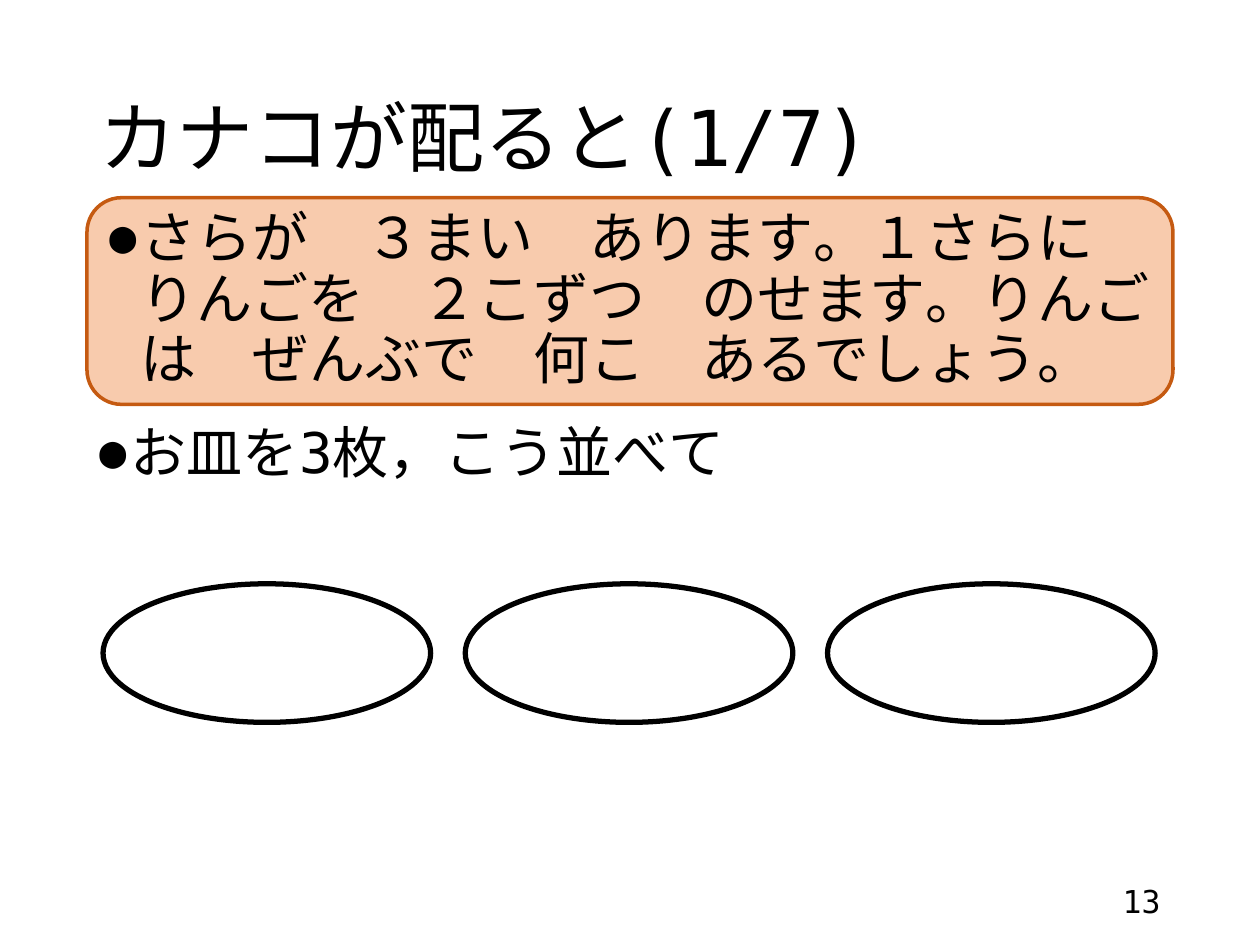
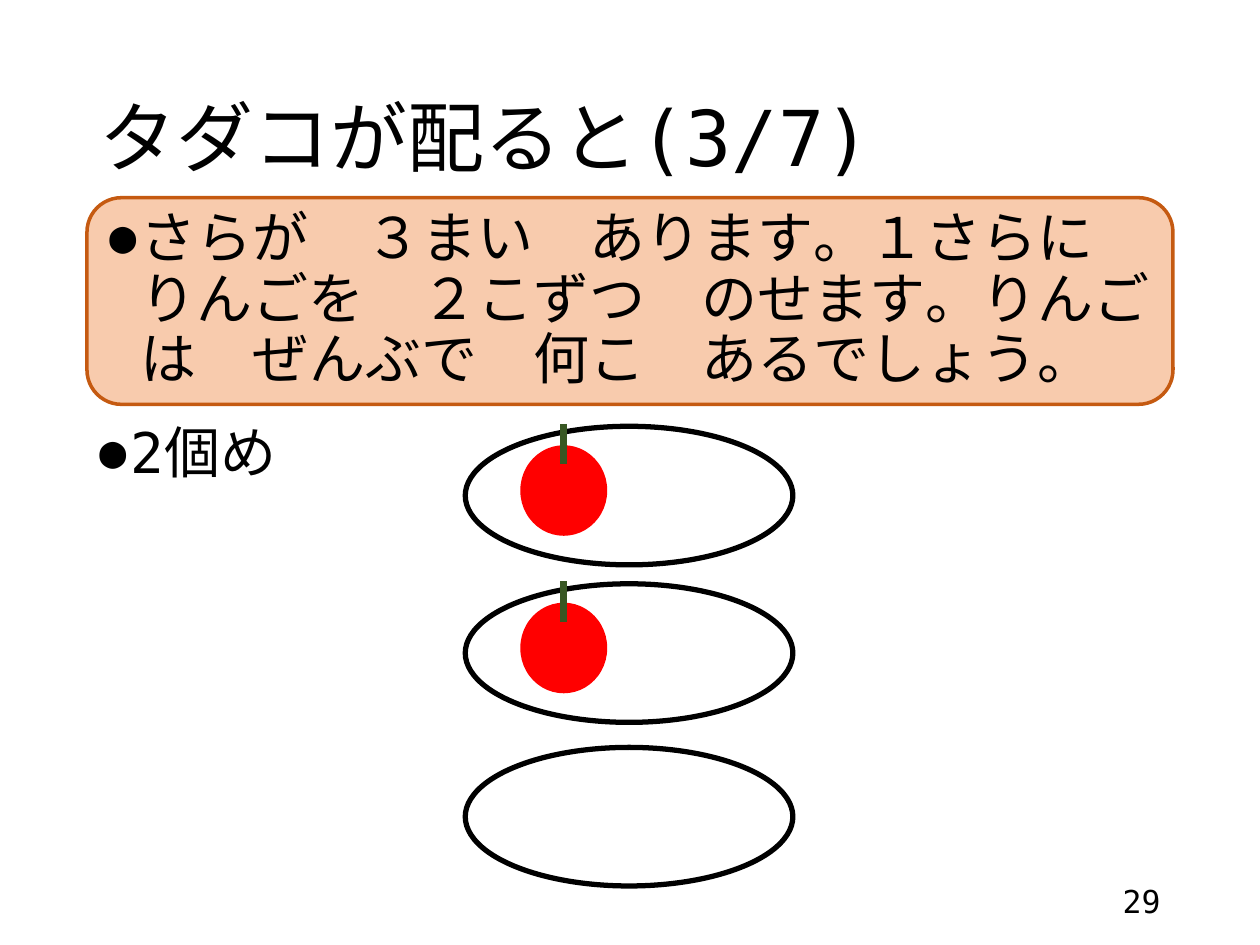
from dataclasses import dataclass

from lxml import etree
from pptx import Presentation
from pptx.dml.color import RGBColor
from pptx.enum import lang, shapes, text
from pptx.oxml import ns
from pptx.util import Pt


@dataclass(frozen=True)
class Theme:
    font: str = "DejaVu Sans Mono"
    ink: str = "000000"
    plate: str = "FFFFFF"
    box_fill: str = "F8CBAD"
    box_line: str = "C55A11"
    apple: str = "FF0000"
    stem: str = "385723"
    title_size: int = 44
    body_size: int = 32
    number_size: int = 18


T = Theme()
SHAPE = shapes.MSO_SHAPE
ALIGN = text.PP_ALIGN
ANCHOR = text.MSO_ANCHOR

# Shared layout, in points: left, top, width, height
TITLE_AT = (49.7, 28.8, 620.6, 104.4)
PROBLEM_AT = (49.7, 113, 620.6, 118.1)
BODY_AT = (49.7, 239.3, 620.6, 247)
NUMBER_AT = (508.3, 500.4, 162, 28.8)
PLATE_SIZE = (187.2, 79.2)
PLATE_LEFT, PLATE_STEP = 58.9, 207
PLATE_ROWS = (243.6, 333.6, 427.1)
PROBLEM = ("さらが　３まい　あります。１さらに　りんごを　２こずつ　のせます。"
           "りんごは　ぜんぶで　何こ　あるでしょう。")


def color(value):
    return RGBColor.from_string(value)


def pts(values):
    return [Pt(v) for v in values]


def set_attrs(obj, values):
    for name, value in values.items():
        setattr(obj, name, value)


def add_bullet(p):
    pPr = p._p.get_or_add_pPr()
    pPr.set("marL", str(Pt(18)))
    pPr.set("indent", str(Pt(-18)))
    for tag, name, value in (("a:buSzPct", "val", "80000"),
                             ("a:buFont", "typeface", T.font),
                             ("a:buChar", "char", "●")):
        etree.SubElement(pPr, ns.qn(tag)).set(name, value)


def write(sp, words, size, anchor=ANCHOR.MIDDLE, align=ALIGN.LEFT,
          spacing=0.9, bullet=False):
    tf = sp.text_frame
    set_attrs(tf, {"word_wrap": True, "vertical_anchor": anchor,
                   "auto_size": text.MSO_AUTO_SIZE.NONE})
    p = tf.paragraphs[0]
    set_attrs(p, {"alignment": align, "line_spacing": spacing,
                  "space_before": Pt(0)})
    if bullet:
        add_bullet(p)
    r = p.add_run()
    r.text = words
    set_attrs(r.font, {"name": T.font, "size": Pt(size),
                       "language_id": lang.MSO_LANGUAGE_ID.JAPANESE})
    r.font.color.rgb = color(T.ink)
    latin = r.font._element.find(ns.qn("a:latin"))
    ea = etree.Element(ns.qn("a:ea"), typeface=T.font)
    latin.addnext(ea)


def add_shape(parent, kind, at, fill, line=None, width=0):
    sp = parent.shapes.add_shape(kind, *pts(at))
    sp.shadow.inherit = False
    sp.fill.solid()
    sp.fill.fore_color.rgb = color(fill)
    if line:
        sp.line.color.rgb = color(line)
        sp.line.width = Pt(width)
    else:
        sp.line.fill.background()
    return sp


def add_plate(s, left, top):
    add_shape(s, SHAPE.OVAL, (left, top, *PLATE_SIZE), T.plate, T.ink, 3)


def add_apple(s, plate_left, plate_top):
    """Put an apple with its stem on the left half of a plate."""
    grp = s.shapes.add_group_shape()
    add_shape(grp, SHAPE.OVAL,
              (plate_left + 31.4, plate_top + 10.8, 49.7, 51.8), T.apple)
    x, y = plate_left + 56.2, plate_top - 1.4
    stem = grp.shapes.add_connector(shapes.MSO_CONNECTOR.STRAIGHT,
                                    *pts((x, y, x, y + 23)))
    stem.line.color.rgb = color(T.stem)
    stem.line.width = Pt(4)
    etree.SubElement(stem._element.spPr, ns.qn("a:effectLst"))


def add_body(s, words):
    tb = s.shapes.add_textbox(*pts(BODY_AT))
    write(tb, words, T.body_size, anchor=ANCHOR.TOP, bullet=True)


def add_base_slide(prs, title, number):
    """Title, page number and the problem statement."""
    s = prs.slides.add_slide(prs.slide_layouts[5])
    sp = s.shapes.title
    set_attrs(sp, dict(zip(("left", "top", "width", "height"), pts(TITLE_AT))))
    write(sp, title, T.title_size)
    tb = s.shapes.add_textbox(*pts(NUMBER_AT))
    write(tb, number, T.number_size, align=ALIGN.RIGHT, spacing=1.0)
    box = add_shape(s, SHAPE.ROUNDED_RECTANGLE, PROBLEM_AT,
                    T.box_fill, T.box_line, 2)
    write(box, PROBLEM, T.body_size, bullet=True)
    return s


def main():
    prs = Presentation()
    set_attrs(prs, {"slide_width": Pt(720), "slide_height": Pt(540)})

    # Three plates side by side
    s = add_base_slide(prs, "カナコが配ると(1/7)", "13")
    add_body(s, "お皿を3枚，こう並べて")
    for i in range(3):
        add_plate(s, PLATE_LEFT + i * PLATE_STEP, PLATE_ROWS[1])

    # Three plates in a column, apples on the first two
    s = add_base_slide(prs, "タダコが配ると(3/7)", "29")
    left = PLATE_LEFT + PLATE_STEP
    for i, top in enumerate(PLATE_ROWS):
        add_plate(s, left, top)
        if i < 2:
            add_apple(s, left, top)
    add_body(s, "2個め")

    prs.save("out.pptx")


if __name__ == "__main__":
    main()
